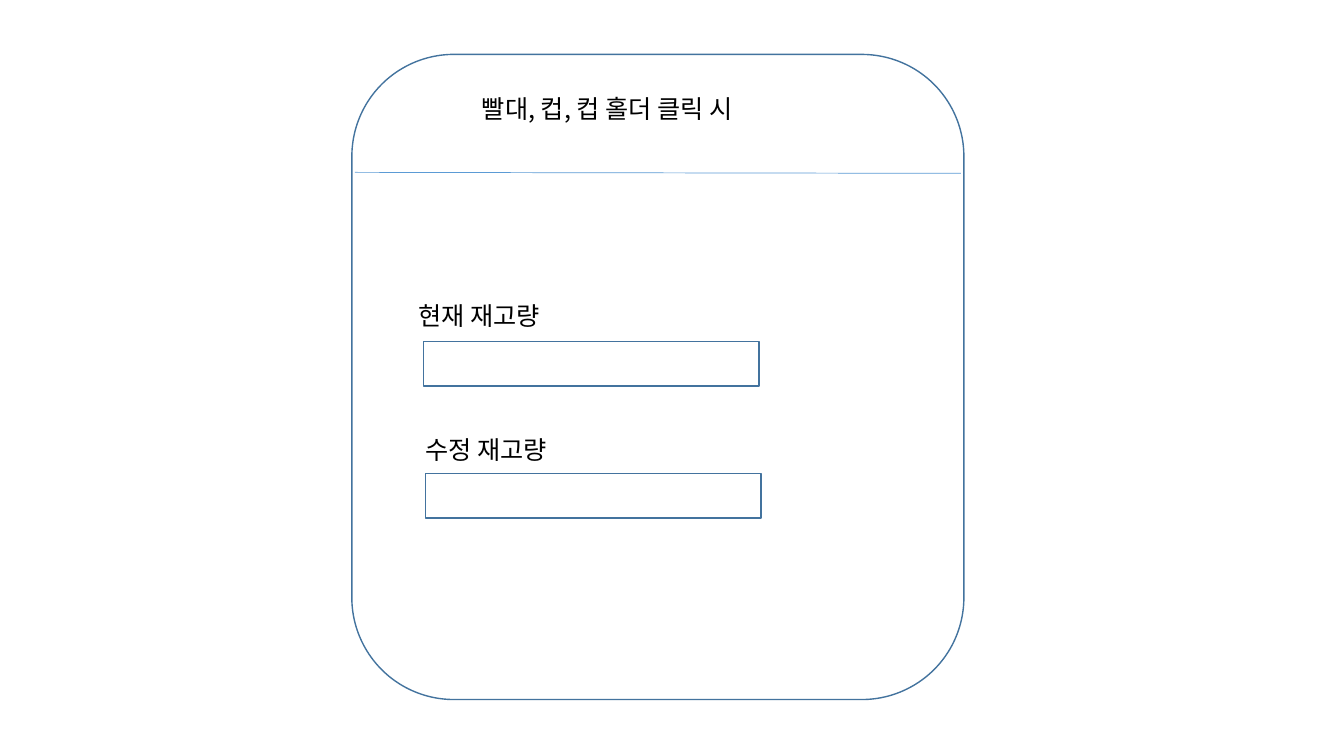
from dataclasses import dataclass

from lxml.etree import SubElement
from pptx import Presentation
from pptx.dml.color import RGBColor
from pptx.enum.shapes import MSO_CONNECTOR, MSO_SHAPE
from pptx.enum.text import MSO_ANCHOR, MSO_AUTO_SIZE, PP_ALIGN
from pptx.oxml.ns import qn
from pptx.shapes.autoshape import Shape
from pptx.slide import Slide
from pptx.util import Inches, Pt

FONT = "Noto Sans CJK KR"
WHITE = RGBColor(0xFF, 0xFF, 0xFF)
BLACK = RGBColor(0x00, 0x00, 0x00)
OUTLINE = RGBColor(0x43, 0x73, 0x9E)
DIVIDER = RGBColor(0x5B, 0x9B, 0xD5)

FRAME_FORMAT = {
    "word_wrap": True,
    "auto_size": MSO_AUTO_SIZE.SHAPE_TO_FIT_TEXT,
    "vertical_anchor": MSO_ANCHOR.TOP,
}
FONT_FORMAT = {"name": FONT, "size": Pt(18)}


@dataclass(frozen=True)
class Area:
    left: float
    top: float
    width: float
    height: float

    def lengths(self) -> tuple[Inches, ...]:
        return tuple(Inches(n) for n in (self.left, self.top, self.width, self.height))


@dataclass(frozen=True)
class Field:
    label: str
    label_area: Area
    input_area: Area


PANEL = Area(3.49, 0.54, 6.07, 6.4)
TITLE = Area(4.68, 0.88, 3.5, 0.4)
FIELDS = (
    Field("현재 재고량", Area(4.05, 2.93, 1.75, 0.4), Area(4.2, 3.39, 3.33, 0.44)),
    Field("수정 재고량", Area(4.12, 4.26, 1.69, 0.4), Area(4.22, 4.7, 3.33, 0.44)),
)


def add_outlined_box(page: Slide, preset: MSO_SHAPE, area: Area) -> Shape:
    box = page.shapes.add_shape(preset, *area.lengths())
    box.shadow.inherit = False
    box.fill.solid()
    box.fill.fore_color.rgb = WHITE
    box.line.color.rgb = OUTLINE
    box.line.width = Pt(1)
    return box


def write_text(box: Shape, text: str) -> None:
    frame = box.text_frame
    for name, value in FRAME_FORMAT.items():
        setattr(frame, name, value)
    para = frame.paragraphs[0]
    para.alignment = PP_ALIGN.LEFT
    para.line_spacing = 1.0
    span = para.add_run()
    span.text = text
    for name, value in FONT_FORMAT.items():
        setattr(span.font, name, value)
    span.font.color.rgb = BLACK
    SubElement(span.font._element, qn("a:ea"), typeface=FONT)


def add_title(page: Slide, panel: Shape) -> None:
    """Place the title in front of the panel."""
    title = page.shapes.title
    title.left, title.top, title.width, title.height = TITLE.lengths()
    write_text(title, "빨대, 컵, 컵 홀더 클릭 시")
    panel.element.addnext(title.element)


def add_divider(page: Slide) -> None:
    ends = (Inches(n) for n in (3.52, 1.71, 9.53, 1.72))
    divider = page.shapes.add_connector(MSO_CONNECTOR.STRAIGHT, *ends)
    divider.line.color.rgb = DIVIDER
    divider.line.width = Pt(0.5)
    SubElement(divider.element.spPr, qn("a:effectLst"))


def add_field(page: Slide, field: Field) -> None:
    label = page.shapes.add_textbox(*field.label_area.lengths())
    write_text(label, field.label)
    add_outlined_box(page, MSO_SHAPE.RECTANGLE, field.input_area)


def main() -> None:
    deck = Presentation()
    deck.slide_width, deck.slide_height = Inches(13.33), Inches(7.5)
    page = deck.slides.add_slide(deck.slide_layouts.get_by_name("Title Only"))
    panel = add_outlined_box(page, MSO_SHAPE.ROUNDED_RECTANGLE, PANEL)
    add_title(page, panel)
    add_divider(page)
    for field in FIELDS:
        add_field(page, field)
    deck.save("out.pptx")


if __name__ == "__main__":
    main()
